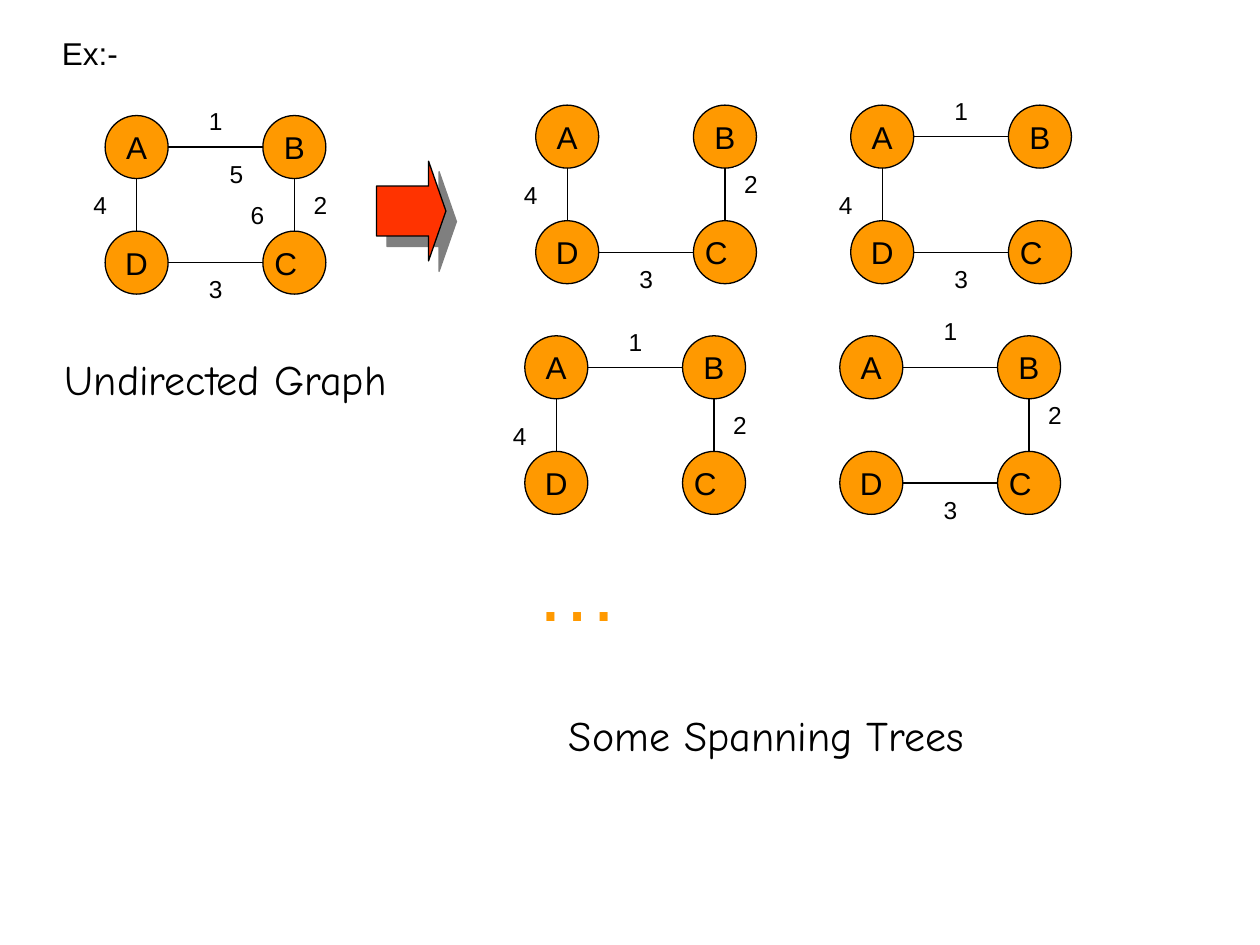
from lxml.etree import SubElement
from pptx import Presentation
from pptx.dml.color import RGBColor
from pptx.enum.shapes import MSO_CONNECTOR, MSO_SHAPE
from pptx.enum.text import MSO_ANCHOR, PP_ALIGN
from pptx.oxml.ns import qn
from pptx.util import Cm, Pt

BLACK, WHITE, ORANGE, RED = "000000", "FFFFFF", "FF9900", "FF3300"

# Graph geometry in centimetres
NODE = 1.27
STEP_X, STEP_Y = 3.18, 2.33
WEIGHT = 0.64
NODES = {"A": (0, 0), "D": (0, 1), "C": (1, 1), "B": (1, 0)}
# Weight: start node, end node, place of the weight relative to the graph
EDGES = {
    "1": ("A", "B", 1.91, -0.21),
    "2": ("B", "C", 4.02, 1.48),
    "3": ("D", "C", 1.91, 3.18),
    "4": ("A", "D", -0.42, 1.48),
}
NUDGE = 0.21


def color(hex_string):
    return RGBColor.from_string(hex_string)


def write(shape, text, *, size, font="Arial", ink=BLACK, align=PP_ALIGN.CENTER,
          anchor=MSO_ANCHOR.MIDDLE, wrap=False, inset_x=(0.25, 0.25), inset_y=0.13):
    frame = shape.text_frame
    frame.word_wrap = wrap
    frame.vertical_anchor = anchor
    frame.margin_left, frame.margin_right = map(Cm, inset_x)
    frame.margin_top = frame.margin_bottom = Cm(inset_y)
    para = frame.paragraphs[0]
    para.alignment = align
    span = para.add_run()
    span.text = text
    span.font.size = Pt(size)
    span.font.name = font
    span.font.color.rgb = color(ink)


def add_figure(page, kind, left, top, width, height, fill, line):
    shape = page.shapes.add_shape(kind, Cm(left), Cm(top), Cm(width), Cm(height))
    shape.shadow.inherit = False
    shape.fill.solid()
    shape.fill.fore_color.rgb = color(fill)
    shape.line.color.rgb = color(line)
    shape.line.width = Pt(0.75)
    return shape


def add_label(page, text, left, top, width=WEIGHT, height=WEIGHT, size=14, **style):
    box = add_figure(page, MSO_SHAPE.RECTANGLE, left, top, width, height, WHITE, WHITE)
    write(box, text, size=size, **style)


def add_caption(page, text, left, top, width, height):
    box = page.shapes.add_textbox(Cm(left), Cm(top), Cm(width), Cm(height))
    write(box, text, size=24, font="Comic Neue", align=PP_ALIGN.LEFT,
          anchor=MSO_ANCHOR.TOP, wrap=True)


def add_edge(page, x1, y1, x2, y2):
    edge = page.shapes.add_connector(MSO_CONNECTOR.STRAIGHT, Cm(x1), Cm(y1), Cm(x2), Cm(y2))
    edge.line.color.rgb = color(BLACK)
    edge.line.width = Pt(0.75)
    SubElement(edge.element.spPr, qn("a:effectLst"))


def add_graph(page, left, top, weights, nudges=None):
    """Draw the four nodes and the edges named by their weights."""
    corners = {name: (left + column * STEP_X, top + row * STEP_Y)
               for name, (column, row) in NODES.items()}
    for name, (x, y) in corners.items():
        node = add_figure(page, MSO_SHAPE.OVAL, x, y, NODE, NODE, ORANGE, BLACK)
        # The letter C sits a little left of the middle
        write(node, name, size=18, inset_x=(0.08, 0.43) if name == "C" else (0.25, 0.25))
    for weight in weights:
        start, end, dx, dy = EDGES[weight]
        (x1, y1), (x2, y2) = corners[start], corners[end]
        half = NODE / 2
        if y1 == y2:
            add_edge(page, x1 + NODE, y1 + half, x2, y2 + half)
        else:
            add_edge(page, x1 + half, y1 + NODE, x2 + half, y2)
        shift = (nudges or {}).get(weight, 0) * NUDGE
        add_label(page, weight, left + dx, top + dy + shift)


def add_arrow(page, left, top, width, height):
    arrow = add_figure(page, MSO_SHAPE.RIGHT_ARROW, left, top, width, height, RED, BLACK)
    arrow.adjustments[0], arrow.adjustments[1] = 0.5, 0.25
    # Hard grey shadow to the lower right
    effects = arrow.element.spPr.find(qn("a:effectLst"))
    shadow = SubElement(effects, qn("a:outerShdw"), blurRad="0", dist=str(Pt(8.5)),
                        dir=str(45 * 60000), algn="ctr", rotWithShape="0")
    tint = SubElement(shadow, qn("a:srgbClr"), val=BLACK)
    SubElement(tint, qn("a:alpha"), val="50000")


def main():
    deck = Presentation()
    deck.slide_width, deck.slide_height = Cm(25.4), Cm(19.05)
    page = deck.slides.add_slide(deck.slide_layouts[6])

    # Captions and heading
    add_caption(page, "Undirected Graph", 1.06, 6.99, 8, 1.27)
    add_caption(page, "Some Spanning Trees", 11.22, 14.18, 9.86, 1.27)
    add_label(page, "Ex:-", 1.18, 0.64, 1.27, 0.84, size=18)

    # Source graph with its two diagonal weights
    add_arrow(page, 7.59, 3.25, 1.4, 2.01)
    add_graph(page, 2.12, 2.33, "1234")
    for weight, left, top in (("5", 4.45, 3.39), ("6", 4.87, 4.23)):
        add_label(page, weight, left, top, height=0.21, inset_y=0.08)

    # Spanning trees
    add_graph(page, 10.8, 2.12, "234", {"2": -1})
    add_graph(page, 17.15, 2.12, "134", {"4": 1})
    add_graph(page, 10.58, 6.77, "124", {"4": 1})
    add_graph(page, 16.93, 6.77, "123", {"1": -1, "2": -1})
    add_label(page, "…", 9.95, 11.22, 3.39, 1.27, size=48, ink=ORANGE)

    deck.save("out.pptx")


if __name__ == "__main__":
    main()
